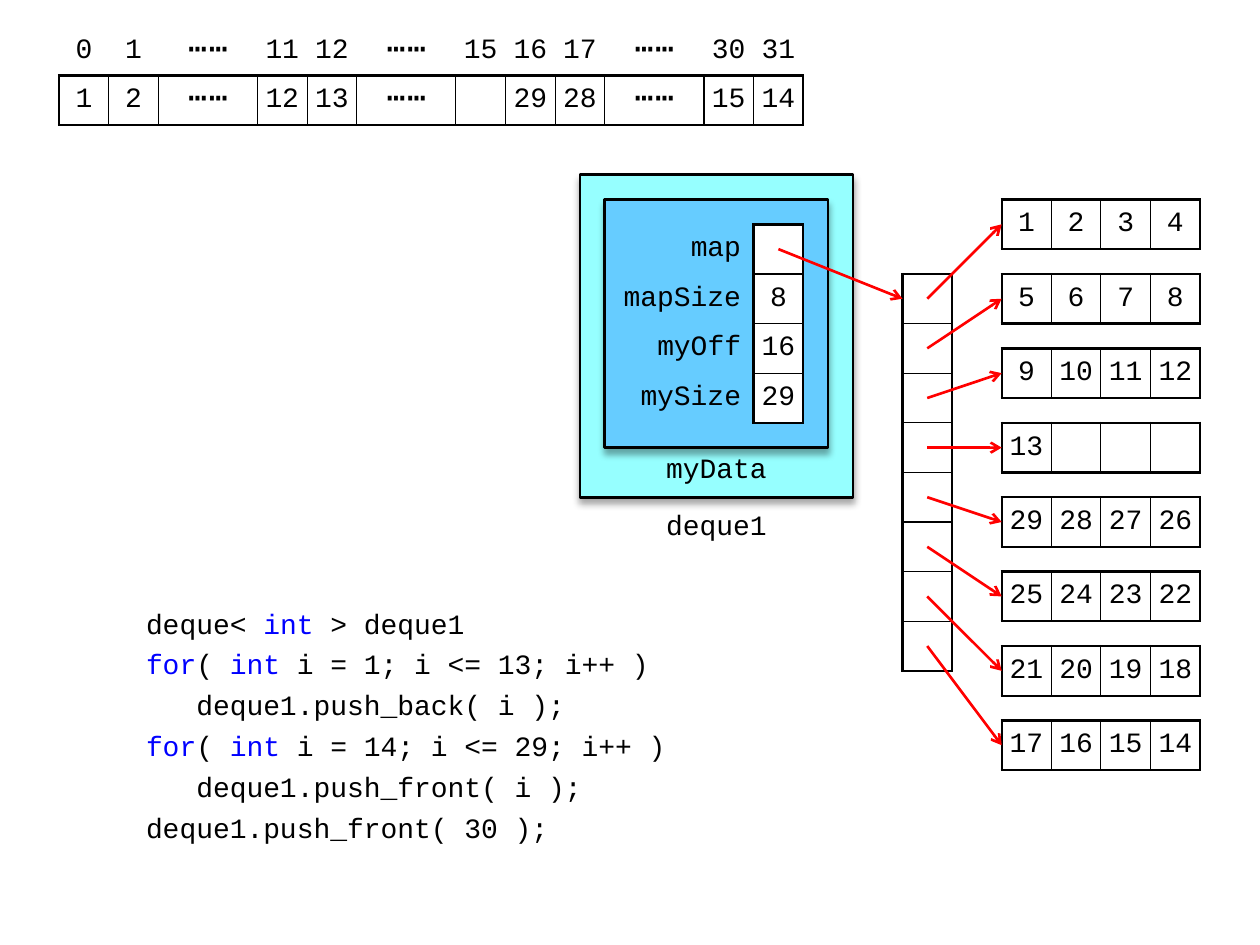
from lxml import etree
from pptx import Presentation
from pptx.dml.color import RGBColor
from pptx.enum import shapes, text
from pptx.oxml import parse_xml
from pptx.oxml.ns import nsdecls, qn
from pptx.util import Pt

INDEX_ROWS = [
    ["0", "1", "⋯⋯", "11", "12", "⋯⋯", "15", "16", "17", "⋯⋯", "30", "31"],
    ["1", "2", "⋯⋯", "12", "13", "⋯⋯", "", "29", "28", "⋯⋯", "15", "14"],
]
BLOCKS = [
    ["1", "2", "3", "4"],
    ["5", "6", "7", "8"],
    ["9", "10", "11", "12"],
    ["13", "", "", ""],
    ["29", "28", "27", "26"],
    ["25", "24", "23", "22"],
    ["21", "20", "19", "18"],
    ["17", "16", "15", "14"],
]
MEMBERS = [["map", ""], ["mapSize", "8"], ["myOff", "16"], ["mySize", "29"]]
KEYWORDS = {"for", "int"}
CODE = [
    ["deque< ", "int", " > deque1"],
    ["for", "( ", "int", " i = 1; i <= 13; i++ )"],
    ["   deque1.push_back( i );"],
    ["for", "( ", "int", " i = 14; i <= 29; i++ )"],
    ["   deque1.push_front( i );"],
    ["deque1.push_front( 30 );"],
]
COLORS = {"ink": "000000", "keyword": "0000FF", "arrow": "FF0000",
          "cell": "FFFFFF", "deque": "96FFFF", "data": "66CCFF"}
FONT = "Courier New"
NO_GRID_STYLE = "{2D5ABB26-0587-4C30-8999-92F81FD0307C}"
THICK, THIN = 1.5, 0.75

# Everything sits on a grid of square cells; positions are (column, row).
UNIT, LEFT, TOP = 28.35, 33.75, 14.8
BLOCK_COL, BLOCK_ROW, BLOCK_STEP = 19, 3.5, 1.5
MAP_COL, MAP_ROW = 17, 5
MEMBER_COL, MEMBER_ROW = 11, 4


def color(name):
    return RGBColor.from_string(COLORS[name])


def point(col, row):
    return Pt(LEFT + col * UNIT), Pt(TOP + row * UNIT)


def area(col, row, width, height):
    return *point(col, row), Pt(width * UNIT), Pt(height * UNIT)


def style_run(run, size=16, ink="ink"):
    run.font.name, run.font.size = FONT, Pt(size)
    run.font.color.rgb = color(ink)


def set_borders(cell, widths):
    """Draw the left, right, top and bottom edges in the given widths."""
    for side, width in zip("LRTB", widths):
        cell._tc.get_or_add_tcPr().append(parse_xml(
            f'<a:ln{side} {nsdecls("a")} w="{Pt(width)}"><a:solidFill>'
            f'<a:srgbClr val="{COLORS["ink"]}"/></a:solidFill></a:ln{side}>'))


def add_grid(slide, col, row, rows, widths, label_rows=0, label_cols=0):
    """Add a table whose cells after the label rows and columns are boxed."""
    frame = slide.shapes.add_table(
        len(rows), len(widths), *area(col, row, sum(widths), len(rows)))
    table = frame.table
    table.first_row = table.horz_banding = False
    table._tbl.tblPr.find(qn("a:tableStyleId")).text = NO_GRID_STYLE
    for column, width in zip(table.columns, widths):
        column.width = Pt(width * UNIT)
    for r, values in enumerate(rows):
        table.rows[r].height = Pt(UNIT)
        for c, value in enumerate(values):
            cell = table.cell(r, c)
            is_label_col = c < label_cols
            cell.vertical_anchor = text.MSO_ANCHOR.MIDDLE
            cell.margin_top = cell.margin_bottom = Pt(2.88)
            cell.margin_left = cell.margin_right = Pt(7.2 if is_label_col else 2.88)
            if r < label_rows or is_label_col:
                cell.fill.background()
            else:
                on_edge = (c == label_cols, c == len(widths) - 1,
                           r == label_rows, r == len(rows) - 1)
                set_borders(cell, [THICK if edge else THIN for edge in on_edge])
                cell.fill.solid()
                cell.fill.fore_color.rgb = color("cell")
            paragraph = cell.text_frame.paragraphs[0]
            paragraph.alignment = (text.PP_ALIGN.RIGHT if is_label_col
                                   else text.PP_ALIGN.CENTER)
            if value:
                paragraph.text = value
                run = paragraph.runs[0]
                is_gap = "⋯" in value
                style_run(run, 18 if is_gap else 16)
                if is_gap:
                    run.font._element.set("spc", "100")


def add_arrow(slide, start, end):
    arrow = slide.shapes.add_connector(
        shapes.MSO_CONNECTOR.STRAIGHT, *point(*start), *point(*end))
    arrow.line.color.rgb = color("arrow")
    arrow.line.width = Pt(THICK)
    etree.SubElement(arrow.line._get_or_add_ln(), qn("a:tailEnd"), type="arrow")
    etree.SubElement(arrow._element.spPr, qn("a:effectLst"))


def add_shaded_box(slide, place, fill):
    box = slide.shapes.add_shape(
        shapes.MSO_SHAPE.FLOWCHART_PROCESS, *area(*place))
    box.fill.solid()
    box.fill.fore_color.rgb = color(fill)
    box.line.color.rgb = color("ink")
    box.line.width = Pt(THICK)
    box.shadow.inherit = False
    box._element.spPr.find(qn("a:effectLst")).append(parse_xml(
        f'<a:outerShdw {nsdecls("a")} blurRad="{Pt(4)}" dist="{Pt(3)}" '
        f'dir="5400000" rotWithShape="0"><a:srgbClr val="{COLORS["ink"]}">'
        '<a:alpha val="35000"/></a:srgbClr></a:outerShdw>'))


def add_text(slide, place, lines, top_inset, align, anchor):
    frame = slide.shapes.add_textbox(*area(*place)).text_frame
    frame.word_wrap = True
    frame.vertical_anchor = anchor
    frame.margin_left = frame.margin_right = Pt(5.76)
    frame.margin_top, frame.margin_bottom = Pt(top_inset), 0
    for i, pieces in enumerate(lines):
        paragraph = frame.add_paragraph() if i else frame.paragraphs[0]
        paragraph.alignment = align
        if i:
            paragraph.space_before = Pt(4.2)
        for piece in pieces:
            run = paragraph.add_run()
            run.text = piece
            style_run(run, ink="keyword" if piece in KEYWORDS else "ink")


def main():
    deck = Presentation()
    deck.slide_width, deck.slide_height = Pt(720), Pt(540)
    slide = deck.slides.add_slide(deck.slide_layouts[6])
    align, anchor = text.PP_ALIGN, text.MSO_ANCHOR

    add_text(slide, (1.55, 11.5, 11, 6), CODE, 5.5, align.LEFT, anchor.TOP)

    index_widths = [2 if "⋯" in value else 1 for value in INDEX_ROWS[0]]
    add_grid(slide, 0, 0, INDEX_ROWS, index_widths, label_rows=1)

    add_grid(slide, MAP_COL, MAP_ROW, [[""]] * len(BLOCKS), [1])
    for i, block in enumerate(BLOCKS):
        row = BLOCK_ROW + i * BLOCK_STEP
        add_grid(slide, BLOCK_COL, row, [block], [1] * len(block))
        add_arrow(slide, (MAP_COL + 0.5, MAP_ROW + i + 0.5),
                  (BLOCK_COL, row + 0.5))

    add_shaded_box(slide, (10.5, 3, 5.5, 6.5), "deque")
    add_shaded_box(slide, (11, 3.5, 4.5, 5), "data")
    add_text(slide, (11.5, 9.5, 3.5, 1), [["deque1"]], 2.88,
             align.CENTER, anchor.MIDDLE)
    add_text(slide, (12, 8.5, 2.5, 1), [["myData"]], 1.44,
             align.CENTER, anchor.TOP)
    add_grid(slide, MEMBER_COL, MEMBER_ROW, MEMBERS, [3, 1], label_cols=1)
    add_arrow(slide, (MEMBER_COL + 3.5, MEMBER_ROW + 0.5),
              (MAP_COL, MAP_ROW + 0.5))

    deck.save("out.pptx")


if __name__ == "__main__":
    main()
